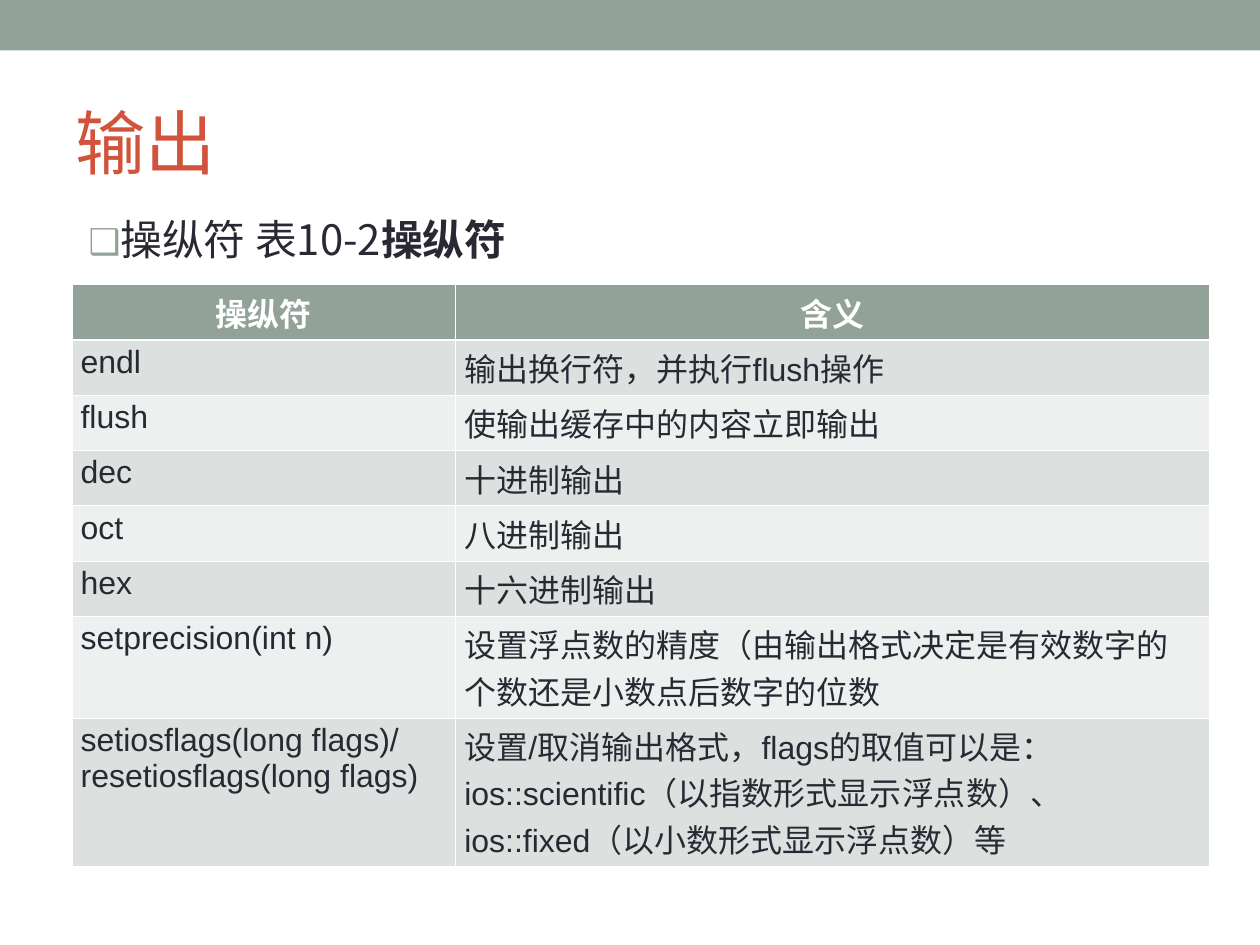
import pptx
import pptx.util
import pptx.dml.color
import pptx.enum.shapes
import pptx.enum.text
import pptx.oxml
import pptx.oxml.ns

PX = 9144
CJK = "Noto Sans CJK SC"
COLORS = {
    "sage": "93A299",
    "title": "D2533C",
    "ink": "292934",
    "white": "FFFFFF",
    "band_dark": "DCE0DE",
    "band_light": "EEF0EF",
}


def format_run(run, size, color, latin=CJK, bold=False):
    run.font.size = pptx.util.Pt(size)
    run.font.bold = bold
    run.font.name = latin
    run.font.color.rgb = pptx.dml.color.RGBColor.from_string(COLORS[color])
    properties = run.font._element
    east_asian = properties.makeelement(pptx.oxml.ns.qn("a:ea"), {"typeface": CJK})
    properties.find(pptx.oxml.ns.qn("a:latin")).addnext(east_asian)


def append_xml(parent, body):
    namespace = pptx.oxml.ns.nsdecls("a")
    for element in pptx.oxml.parse_xml(f"<a:root {namespace}>{body}</a:root>"):
        parent.append(element)


presentation = pptx.Presentation()
presentation.slide_width = 1422 * PX
presentation.slide_height = 1066 * PX
slide = presentation.slides.add_slide(presentation.slide_layouts[5])

bar = slide.shapes.add_shape(
    pptx.enum.shapes.MSO_SHAPE.RECTANGLE, 0, 0, 1422 * PX, 57 * PX
)
bar.shadow.inherit = False
bar.fill.solid()
bar.fill.fore_color.rgb = pptx.dml.color.RGBColor.from_string(COLORS["sage"])
bar.line.fill.background()

title = slide.shapes.title
title.left, title.top, title.width, title.height = [
    length * PX for length in (71, 83, 1280, 154)
]
title.text_frame.text = "输出"
title.text_frame.vertical_anchor = pptx.enum.text.MSO_ANCHOR.MIDDLE
title.text_frame.paragraphs[0].alignment = pptx.enum.text.PP_ALIGN.LEFT
format_run(title.text_frame.paragraphs[0].runs[0], 57, "title")

caption = slide.shapes.add_textbox(86 * PX, 234 * PX, 1250 * PX, 788 * PX)
for frame in (title.text_frame, caption.text_frame):
    frame.word_wrap = True
    frame.auto_size = pptx.enum.text.MSO_AUTO_SIZE.NONE
    frame.margin_left = frame.margin_right = 14 * PX
    frame.margin_top = frame.margin_bottom = 7 * PX

paragraph = caption.text_frame.paragraphs[0]
paragraph.text = "操纵符 表10-2"
paragraph.add_run().text = "操纵符"
for run, bold in zip(paragraph.runs, (False, True)):
    format_run(run, 34, "ink", bold=bold)
paragraph.space_before = pptx.util.Pt(8.5)
paragraph_properties = paragraph._p.get_or_add_pPr()
paragraph_properties.set("marL", str(28 * PX))
paragraph_properties.set("indent", str(-28 * PX))
append_xml(
    paragraph_properties,
    f'<a:buClr><a:srgbClr val="{COLORS["sage"]}"/></a:buClr>'
    f'<a:buSzPct val="85000"/><a:buFont typeface="{CJK}"/><a:buChar char="❑"/>',
)

rows = [
    ("操纵符", "含义"),
    ("endl", "输出换行符，并执行flush操作"),
    ("flush", "使输出缓存中的内容立即输出"),
    ("dec", "十进制输出"),
    ("oct", "八进制输出"),
    ("hex", "十六进制输出"),
    (
        "setprecision(int n)",
        "设置浮点数的精度（由输出格式决定是有效数字的个数还是小数点后数字的位数",
    ),
    (
        "setiosflags(long flags)/\nresetiosflags(long flags)",
        "设置/取消输出格式，flags的取值可以是：\n"
        "ios::scientific（以指数形式显示浮点数）、\n"
        "ios::fixed（以小数形式显示浮点数）等",
    ),
]
column_widths = [433, 851]
row_heights = [54] * 6 + [97, 140]

table = slide.shapes.add_table(
    len(rows), 2, 81 * PX, 321 * PX, sum(column_widths) * PX, sum(row_heights) * PX
).table
for column, width in zip(table.columns, column_widths):
    column.width = width * PX
for row, height in zip(table.rows, row_heights):
    row.height = height * PX

for row_index, texts in enumerate(rows):
    is_header = row_index == 0
    fill = "sage" if is_header else ("band_light", "band_dark")[row_index % 2]
    border_widths = {
        "L": 0.45,
        "R": 0.45,
        "T": 1.47 if row_index == 1 else 0.45,
        "B": 1.47 if is_header else 0.45,
    }
    for column_index, text in enumerate(texts):
        cell = table.cell(row_index, column_index)
        for side, width in border_widths.items():
            append_xml(
                cell._tc.get_or_add_tcPr(),
                f'<a:ln{side} w="{pptx.util.Pt(width)}"><a:solidFill>'
                f'<a:srgbClr val="{COLORS["white"]}"/></a:solidFill></a:ln{side}>',
            )
        cell.fill.solid()
        cell.fill.fore_color.rgb = pptx.dml.color.RGBColor.from_string(COLORS[fill])
        cell.text_frame.text = text
        for paragraph in cell.text_frame.paragraphs:
            if is_header:
                paragraph.alignment = pptx.enum.text.PP_ALIGN.CENTER
            color = "white" if is_header else "ink"
            format_run(paragraph.runs[0], 26, color, "Arial", is_header)

presentation.save("out.pptx")
